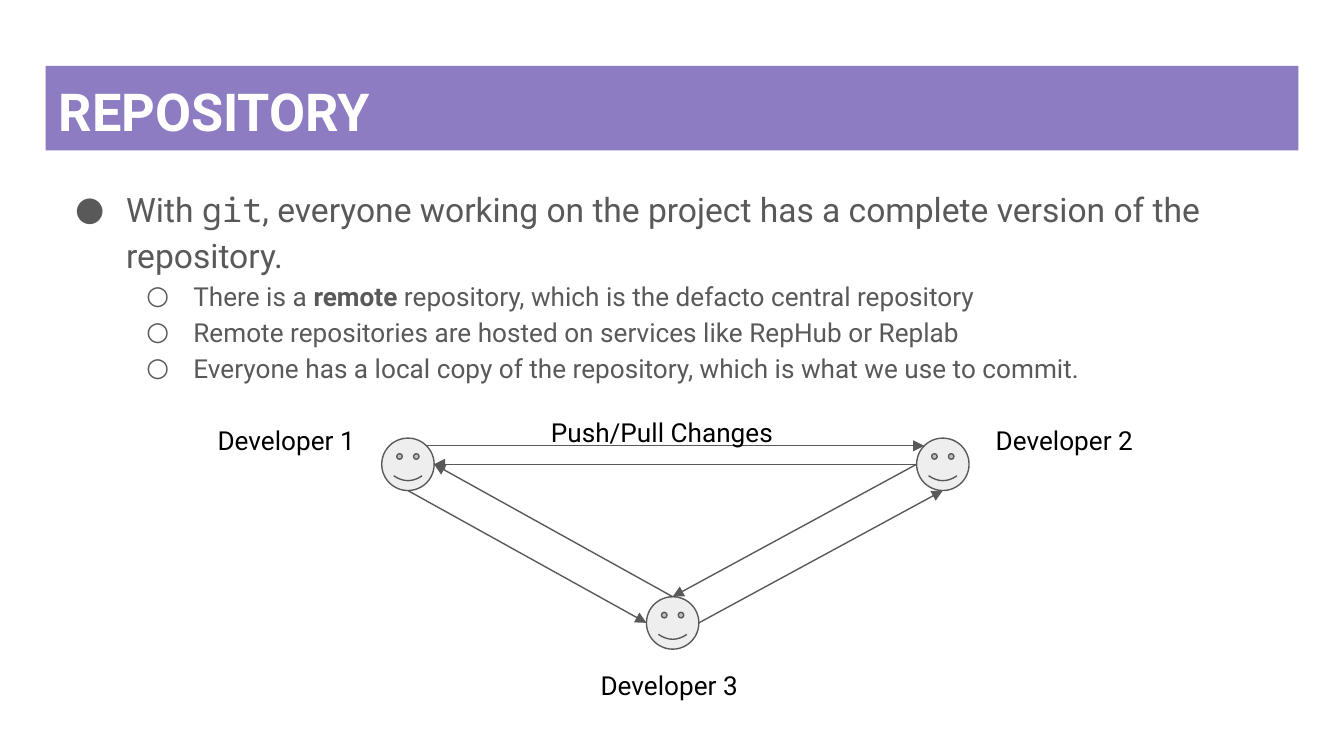
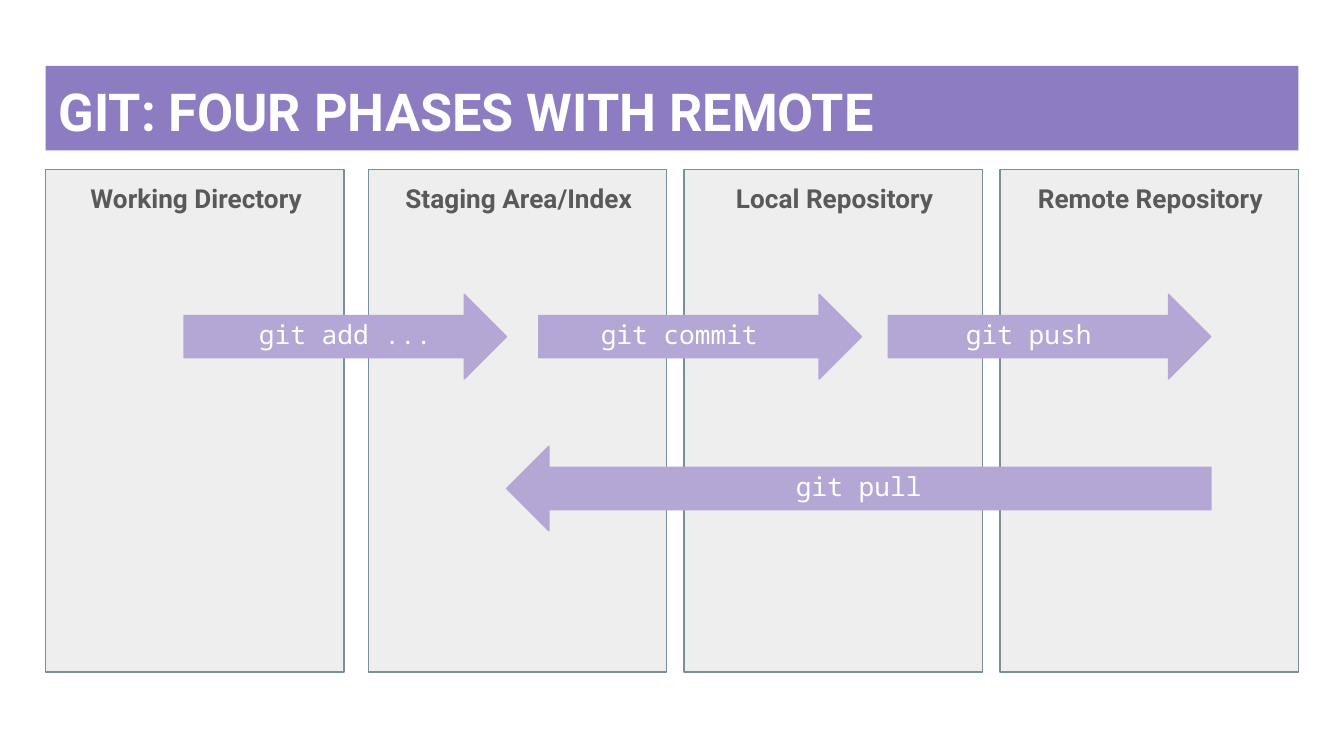
from dataclasses import dataclass

from lxml.etree import SubElement
from pptx import Presentation
from pptx.dml.color import RGBColor
from pptx.enum.shapes import MSO_CONNECTOR, MSO_SHAPE
from pptx.enum.text import MSO_ANCHOR, PP_ALIGN
from pptx.oxml.ns import qn
from pptx.util import Inches, Pt


@dataclass(frozen=True)
class Theme:
    band: str = "8E7CC3"
    arrow: str = "B4A7D6"
    panel: str = "EEEEEE"
    panel_line: str = "78909C"
    gray: str = "595959"
    black: str = "000000"
    white: str = "FFFFFF"
    font: str = "Roboto"
    mono: str = "Noto Sans Mono"
    title: int = 28
    lead: int = 18
    body: int = 14
    line: float = 0.75
    spacing: float = 1.15


THEME = Theme()

# Content: spans are (text, format) pairs; lengths are in inches.
REPOSITORY_TITLE = "REPOSITORY"
BULLETS = [
    (0, [("With ", {}), ("git", {"font": THEME.mono}),
         (", everyone working on the project has a complete version of the repository.", {})]),
    (1, [("There is a ", {}), ("remote", {"bold": True}),
         (" repository, which is the defacto central repository", {})]),
    (1, [("Remote repositories are hosted on services like RepHub or Replab", {})]),
    (1, [("Everyone has a local copy of the repository, which is what we use to commit.", {})]),
]
# level: (bullet, text size, left margin, hanging indent)
LEVELS = {0: ("●", THEME.lead, 0.5, 0.38), 1: ("○", THEME.body, 1.0, 0.35)}

# developer: (face left, face top, label left, label top)
DEVELOPERS = {
    "Developer 1": (2.84, 3.26, 1.52, 3.06),
    "Developer 2": (6.82, 3.26, 7.31, 3.06),
    "Developer 3": (4.81, 4.44, 4.37, 4.88),
}
EXCHANGES = [
    ("Developer 1", "bottom", "Developer 3", "left"),
    ("Developer 3", "top", "Developer 1", "right"),
    ("Developer 3", "right", "Developer 2", "bottom"),
    ("Developer 2", "left", "Developer 3", "top"),
    ("Developer 1", "top right", "Developer 2", "top left"),
    ("Developer 2", "left", "Developer 1", "right"),
]
EXCHANGE_LABEL = "Push/Pull Changes"

PHASES_TITLE = "GIT: FOUR PHASES WITH REMOTE"
PHASES = [("Working Directory", 0.34), ("Staging Area/Index", 2.74),
          ("Local Repository", 5.09), ("Remote Repository", 7.44)]
# command, arrow shape, left, top, arrow width, label width
COMMANDS = [
    ("git add ...", MSO_SHAPE.RIGHT_ARROW, 1.37, 2.19, 2.4, 2.4),
    ("git commit", MSO_SHAPE.RIGHT_ARROW, 4.01, 2.19, 2.4, 2.09),
    ("git push", MSO_SHAPE.RIGHT_ARROW, 6.61, 2.19, 2.4, 2.09),
    ("git pull", MSO_SHAPE.LEFT_ARROW, 3.77, 3.32, 5.24, 5.24),
]

# Layout
MARGIN, CONTENT_WIDTH = 0.34, 9.32
BAND_TOP, BAND_HEIGHT = 0.49, 0.63
CONTENT_TOP, CONTENT_HEIGHT = 1.26, 3.74
FACE = 0.39
DIAGONAL = 0.5 ** 0.5 / 2
# Where an arrow meets a face, as a fraction of the face's size
SITES = {
    "top": (0.5, 0), "bottom": (0.5, 1), "left": (0, 0.5), "right": (1, 0.5),
    "top left": (0.5 - DIAGONAL, 0.5 - DIAGONAL),
    "top right": (0.5 + DIAGONAL, 0.5 - DIAGONAL),
}


def color(value):
    return RGBColor.from_string(value)


def add_span(para, text, size=THEME.body, font=THEME.font, ink=THEME.black, bold=False):
    span = para.add_run()
    span.text = text
    span.font.size = Pt(size)
    span.font.name = font
    span.font.bold = bold
    span.font.color.rgb = color(ink)


def prepare_frame(shape):
    """Set wrapping, top anchor and equal insets, and return the text frame."""
    frame = shape.text_frame
    frame.word_wrap = True
    frame.vertical_anchor = MSO_ANCHOR.TOP
    frame.margin_left = frame.margin_right = Inches(0.1)
    frame.margin_top = frame.margin_bottom = Inches(0.1)
    return frame


def add_label(page, text, place, align=PP_ALIGN.LEFT, **style):
    box = page.shapes.add_textbox(*map(Inches, place))
    para = prepare_frame(box).paragraphs[0]
    para.alignment = align
    add_span(para, text, **style)


def add_shape(page, kind, place, fill, line=None):
    shape = page.shapes.add_shape(kind, *map(Inches, place))
    shape.shadow.inherit = False
    shape.fill.solid()
    shape.fill.fore_color.rgb = color(fill)
    if line:
        shape.line.color.rgb = color(line)
        shape.line.width = Pt(THEME.line)
    else:
        shape.line.fill.background()
    return shape


def add_arrow(page, start, end):
    arrow = page.shapes.add_connector(MSO_CONNECTOR.STRAIGHT, *map(Inches, start + end))
    arrow.line.color.rgb = color(THEME.gray)
    arrow.line.width = Pt(THEME.line)
    SubElement(arrow.line._get_or_add_ln(), qn("a:tailEnd"), type="triangle")
    SubElement(arrow._element.spPr, qn("a:effectLst"))


def set_bullet(para, bullet, margin, hanging):
    props = para._p.get_or_add_pPr()
    props.set("marL", str(Inches(margin)))
    props.set("indent", str(-Inches(hanging)))
    ink = SubElement(props, qn("a:buClr"))
    SubElement(ink, qn("a:srgbClr"), val=THEME.gray)
    SubElement(props, qn("a:buFont"), typeface=THEME.font)
    SubElement(props, qn("a:buChar"), char=bullet)


def add_bullets(page, items):
    place = (MARGIN, CONTENT_TOP, CONTENT_WIDTH, CONTENT_HEIGHT)
    frame = prepare_frame(page.shapes.add_textbox(*map(Inches, place)))
    for index, (level, spans) in enumerate(items):
        para = frame.add_paragraph() if index else frame.paragraphs[0]
        bullet, size, margin, hanging = LEVELS[level]
        para.level = level
        para.line_spacing = THEME.spacing
        set_bullet(para, bullet, margin, hanging)
        for text, style in spans:
            add_span(para, text, size=size, ink=THEME.gray, **style)


def add_page(deck, title):
    """Add a blank page with the title band."""
    page = deck.slides.add_slide(deck.slide_layouts[6])
    band = add_shape(page, MSO_SHAPE.RECTANGLE,
                     (MARGIN, BAND_TOP, CONTENT_WIDTH, BAND_HEIGHT), THEME.band)
    para = prepare_frame(band).paragraphs[0]
    para.alignment = PP_ALIGN.LEFT
    add_span(para, title, size=THEME.title, ink=THEME.white, bold=True)
    return page


def face_point(name, site):
    left, top = DEVELOPERS[name][:2]
    across, down = SITES[site]
    return left + across * FACE, top + down * FACE


def build_repository(deck):
    page = add_page(deck, REPOSITORY_TITLE)
    add_bullets(page, BULLETS)
    for left, top, *_ in DEVELOPERS.values():
        add_shape(page, MSO_SHAPE.SMILEY_FACE, (left, top, FACE, FACE),
                  THEME.panel, THEME.gray)
    for sender, exit_site, receiver, entry_site in EXCHANGES:
        add_arrow(page, face_point(sender, exit_site), face_point(receiver, entry_site))
    for name, (*_, left, top) in DEVELOPERS.items():
        add_label(page, name, (left, top, 1.32, 0.26))
    add_label(page, EXCHANGE_LABEL, (4, 3, 2.01, 0.26))


def build_phases(deck):
    page = add_page(deck, PHASES_TITLE)
    for _, left in PHASES:
        add_shape(page, MSO_SHAPE.RECTANGLE, (left, CONTENT_TOP, 2.22, CONTENT_HEIGHT),
                  THEME.panel, THEME.panel_line)
    for name, left in PHASES:
        add_label(page, name, (left, CONTENT_TOP, 2.24, 0.42),
                  align=PP_ALIGN.CENTER, ink=THEME.gray, bold=True)
    for command, kind, left, top, width, label_width in COMMANDS:
        add_shape(page, kind, (left, top, width, 0.63), THEME.arrow, THEME.arrow)
        add_label(page, command, (left, top + 0.08, label_width, 0.2),
                  align=PP_ALIGN.CENTER, font=THEME.mono, ink=THEME.white)


def main():
    deck = Presentation()
    deck.slide_width = Inches(10)
    deck.slide_height = deck.slide_width * 9 // 16
    build_repository(deck)
    build_phases(deck)
    deck.save("out.pptx")


if __name__ == "__main__":
    main()
